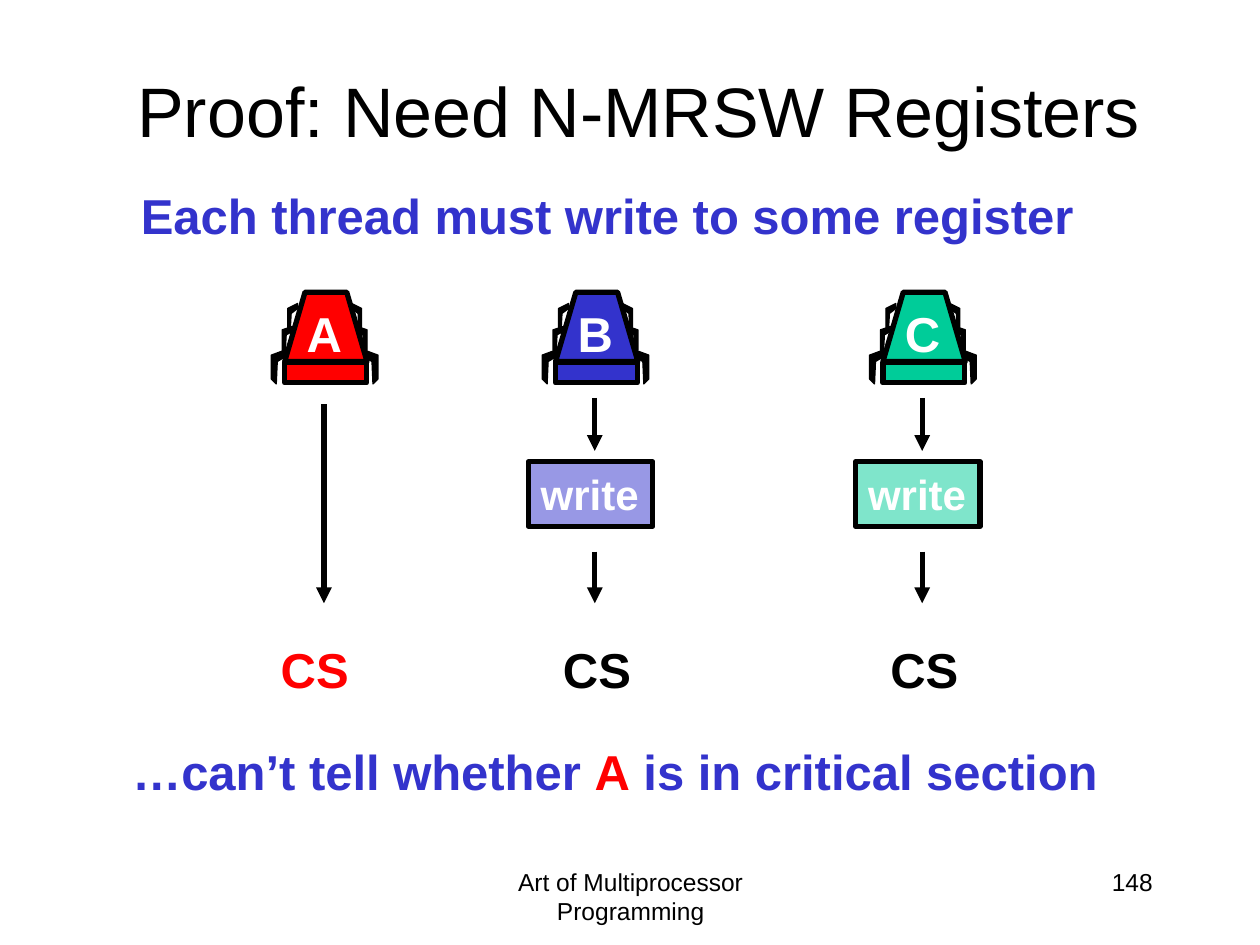
from dataclasses import dataclass

from lxml import etree
from pptx import Presentation
from pptx.dml.color import RGBColor
from pptx.enum import shapes, text
from pptx.oxml.ns import qn
from pptx.util import Cm, Pt


@dataclass(frozen=True)
class Theme:
    """Colours, font and sizes of the slide."""
    font: str = "Arial"
    black: str = "000000"
    white: str = "FFFFFF"
    red: str = "FF0000"
    blue: str = "3333CC"
    green: str = "00CC99"
    title: int = 40
    body: int = 28
    step: int = 24
    footer: int = 14
    heavy: float = 3
    thin: float = 0.75


T = Theme()
LEFT, CENTER, RIGHT = text.PP_ALIGN.LEFT, text.PP_ALIGN.CENTER, text.PP_ALIGN.RIGHT
MIRROR = 2.21
LEGS = [
    [(1.83, 1.14), (2.18, 1.27), (2.18, 1.75), (2.08, 1.85), (2.06, 1.4), (1.85, 1.27)],
    [(1.75, 0.69), (1.96, 0.76), (1.96, 1.17), (1.9, 1.22), (1.88, 0.86), (1.75, 0.79)],
    [(1.65, 0.23), (1.85, 0.33), (1.85, 0.71), (1.8, 0.79), (1.78, 0.43), (1.65, 0.33)],
]
BODY = [(0.3, 1.4), (0.71, 0), (1.55, 0), (1.96, 1.4)]


def write_runs(sp, runs, size, align=LEFT, bold=True, wrap=True, anchor=text.MSO_ANCHOR.TOP):
    """Fill a shape with one paragraph of (words, colour) runs."""
    tf = sp.text_frame
    tf.word_wrap = wrap
    tf.vertical_anchor = anchor
    p = tf.paragraphs[0]
    p.alignment = align
    for words, color in runs:
        r = p.add_run()
        r.text = words
        r.font.name, r.font.size, r.font.bold = T.font, Pt(size), bold
        r.font.color.rgb = RGBColor.from_string(color)


def add_label(slide, box, runs, size, **style):
    """Add a text box at a (left, top, width, height) box."""
    sp = slide.shapes.add_textbox(*map(Cm, box))
    write_runs(sp, runs, size, **style)


def paint(sp, fill, weight):
    """Give a shape a solid fill and a black outline."""
    sp.shadow.inherit = False
    sp.fill.solid()
    sp.fill.fore_color.rgb = RGBColor.from_string(fill)
    sp.line.color.rgb = RGBColor.from_string(T.black)
    sp.line.width = Pt(weight)


def add_outline(group, x, y, points, fill, weight):
    """Add a closed polygon with points relative to (x, y)."""
    pts = [(Cm(x + dx), Cm(y + dy)) for dx, dy in points]
    builder = group.shapes.build_freeform(*pts[0], scale=1.0)
    builder.add_line_segments(pts[1:], close=True)
    paint(builder.convert_to_shape(), fill, weight)


def add_leg_pair(group, x, y, leg):
    """Add a right leg and its mirrored left leg."""
    for points in (leg, [(MIRROR - dx, dy) for dx, dy in leg]):
        add_outline(group, x, y, points, T.black, T.thin)


def add_thread(slide, x, y, color):
    """Draw a thread figure with its top left corner at (x, y)."""
    group = slide.shapes.add_group_shape()
    for leg in LEGS[:2]:
        add_leg_pair(group, x, y, leg)
    add_outline(group, x, y, BODY, color, T.heavy)
    base = group.shapes.add_shape(shapes.MSO_SHAPE.RECTANGLE,
                                  Cm(x + 0.3), Cm(y + 1.42), Cm(1.65), Cm(0.41))
    paint(base, color, T.heavy)
    add_leg_pair(group, x, y, LEGS[2])


def add_arrow(slide, x, top, bottom):
    """Draw a downward arrow."""
    line = slide.shapes.add_connector(shapes.MSO_CONNECTOR.STRAIGHT,
                                      Cm(x), Cm(top), Cm(x), Cm(bottom))
    line.line.color.rgb = RGBColor.from_string(T.black)
    line.line.width = Pt(T.heavy)
    etree.SubElement(line.line._get_or_add_ln(), qn("a:tailEnd"), type="triangle")
    etree.SubElement(line._element.spPr, qn("a:effectLst"))


def add_write(slide, x, y, color):
    """Draw a half-transparent write step."""
    sp = slide.shapes.add_shape(shapes.MSO_SHAPE.RECTANGLE, Cm(x), Cm(y), Cm(2.51), Cm(1.3))
    paint(sp, color, T.heavy)
    clr = sp._element.spPr.find(qn("a:solidFill")).find(qn("a:srgbClr"))
    etree.SubElement(clr, qn("a:alpha"), val="50000")
    write_runs(sp, [("write", T.white)], T.step, wrap=False)


def add_column(slide, x, y, name, color, writes, cs_color, cs_dx):
    """Draw one thread's path into the critical section."""
    add_thread(slide, x, y, color)
    add_label(slide, (x + 0.48, y + 0.1, 1.24, 1.45), [(name, T.white)], T.body,
              align=CENTER, wrap=False)
    spans = [(2.13, 3.2), (5.23, 6.27)] if writes else [(2.26, 6.27)]
    for top, bottom in spans:
        add_arrow(slide, x + 1.09, y + top, y + bottom)
    if writes:
        add_write(slide, x - 0.25, y + 3.42, color)
    add_label(slide, (x + cs_dx, y + 6.88, 1.91, 1.45), [("CS", cs_color)], T.body, wrap=False)


def add_headings(slide):
    """Add the title and the two statements."""
    add_label(slide, (1.7, 0.61, 22.35, 3.18), [("Proof: Need N-MRSW Registers", T.black)],
              T.title, align=CENTER, bold=False, anchor=text.MSO_ANCHOR.MIDDLE)
    add_label(slide, (2.59, 3.61, 20.57, 1.45),
              [("Each thread must write to some register", T.blue)], T.body)
    add_label(slide, (2.36, 14.83, 20.35, 1.45),
              [("…can’t tell whether ", T.blue), ("A", T.red),
               (" is in critical section ", T.blue)], T.body, align=CENTER)


def add_footer(slide, y):
    """Add the footer text and the page number."""
    add_label(slide, (8.69, y, 8.05, 1.27), [("Art of Multiprocessor Programming", T.black)],
              T.footer, align=CENTER, bold=False)
    add_label(slide, (18.21, y, 5.28, 1.27), [("148", T.black)],
              T.footer, align=RIGHT, bold=False)


def main():
    """Build and save the slide."""
    prs = Presentation()
    prs.slide_width, prs.slide_height = Cm(25.4), Cm(19.05)
    slide = prs.slides.add_slide(prs.slide_layouts[6])
    add_headings(slide)
    add_footer(slide, 17.35)
    add_column(slide, 5.44, 5.89, "A", T.red, False, T.red, -0.03)
    add_column(slide, 10.9, 5.89, "B", T.blue, True, T.black, 0.2)
    add_column(slide, 17.5, 5.89, "C", T.green, True, T.black, 0.2)
    prs.save("out.pptx")


if __name__ == "__main__":
    main()
